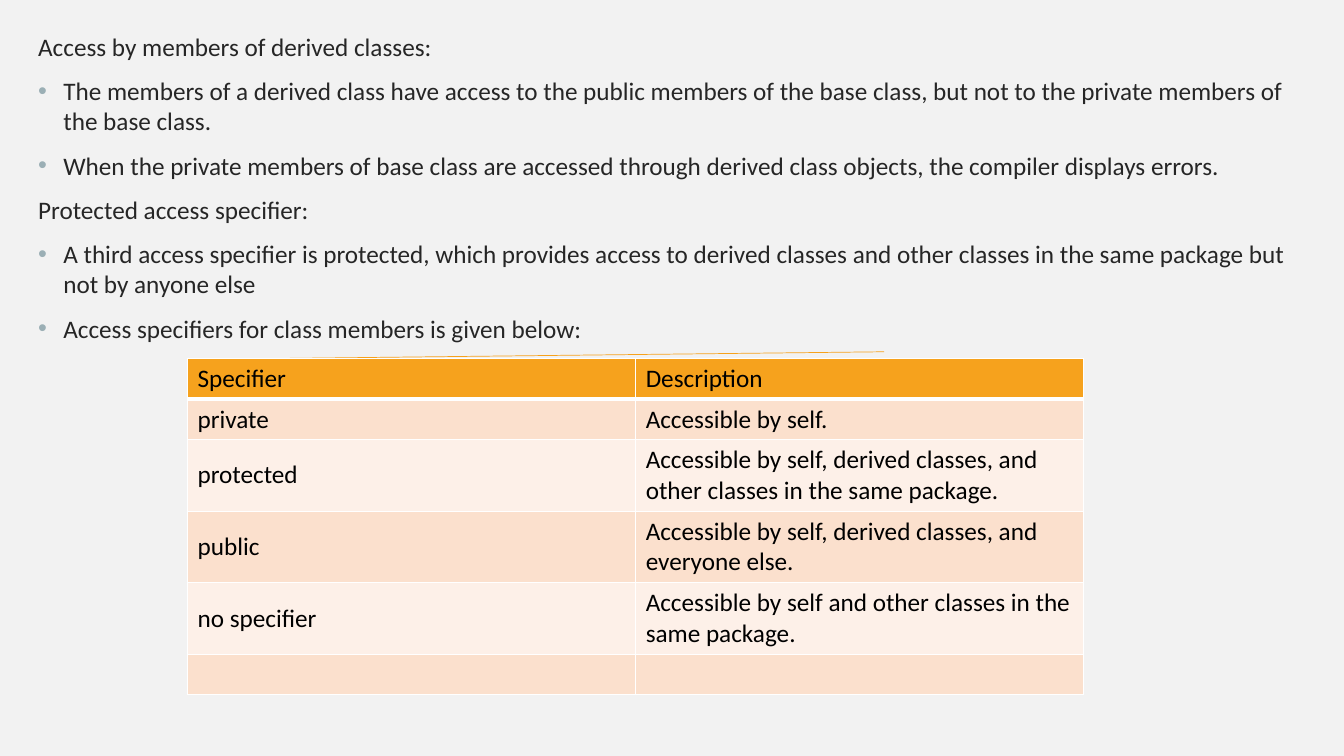
from lxml.etree import SubElement
from pptx import Presentation
from pptx.dml.color import RGBColor
from pptx.enum.shapes import MSO_CONNECTOR
from pptx.enum.text import MSO_ANCHOR
from pptx.oxml.ns import qn
from pptx.util import Inches, Pt

COLORS = {
    "background": "F2F2F2",
    "body": "262626",
    "bullet": "9BAFB5",
    "accent": "F6A21D",
    "band_dark": "FBE0CD",
    "band_light": "FDF0E8",
    "border": "FFFFFF",
    "cell": "000000",
}

NOTES_ON_ACCESS = [
    ("Access by members of derived classes:", False),
    ("The members of a derived class have access to the public members of the base class, "
     "but not to the private members of the base class.", True),
    ("When the private members of base class are accessed through derived class objects, "
     "the compiler displays errors.", True),
    ("Protected access specifier:", False),
    ("A third access specifier is protected, which provides access to derived classes and "
     "other classes in the same package but not by anyone else", True),
    ("Access specifiers for class members is given below:", True),
]

SPECIFIERS = [
    ("Specifier", "Description"),
    ("private", "Accessible by self."),
    ("protected", "Accessible by self, derived classes, and other classes in the same package."),
    ("public", "Accessible by self, derived classes, and everyone else."),
    ("no specifier", "Accessible by self and other classes in the same package."),
    ("", ""),
]
ROW_HEIGHTS = [0.4, 0.4, 0.71, 0.71, 0.71, 0.4]


def rgb(name):
    return RGBColor.from_string(COLORS[name])


def write(p, text, color="body", size=18, font="Calibri", bold=False):
    r = p.add_run()
    r.text = text
    r.font.name = font
    r.font.size = Pt(size)
    r.font.bold = bold
    r.font.color.rgb = rgb(color)


def add_bullet(p):
    pPr = p._p.get_or_add_pPr()
    pPr.set("marL", str(Inches(0.25)))
    pPr.set("indent", str(Inches(-0.25)))
    color = SubElement(pPr, qn("a:buClr"))
    SubElement(color, qn("a:srgbClr"), val=COLORS["bullet"])
    SubElement(pPr, qn("a:buFont"), typeface="Arial")
    SubElement(pPr, qn("a:buChar"), char="•")


def add_body(s, paragraphs, left, top, width, height):
    tf = s.shapes.add_textbox(Inches(left), Inches(top), Inches(width), Inches(height)).text_frame
    tf.word_wrap = True
    for i, (text, bulleted) in enumerate(paragraphs):
        p = tf.add_paragraph() if i else tf.paragraphs[0]
        p.space_before = Pt(10)
        if bulleted:
            add_bullet(p)
        write(p, text)


def add_line(s, x1, y1, x2, y2):
    line = s.shapes.add_connector(
        MSO_CONNECTOR.STRAIGHT, Inches(x1), Inches(y1), Inches(x2), Inches(y2))
    line.line.color.rgb = rgb("accent")
    line.line.width = Pt(0.5)
    SubElement(line._element.spPr, qn("a:effectLst"))


def add_borders(cell, **widths):
    tcPr = cell._tc.get_or_add_tcPr()
    for side in ("L", "R", "T", "B"):
        ln = SubElement(tcPr, qn(f"a:ln{side}"), w=str(Pt(widths.get(side, 1))))
        fill = SubElement(ln, qn("a:solidFill"))
        SubElement(fill, qn("a:srgbClr"), val=COLORS["border"])


def add_specifier_table(s, left, top, width):
    table = s.shapes.add_table(
        len(SPECIFIERS), 2, Inches(left), Inches(top),
        Inches(width), Inches(sum(ROW_HEIGHTS))).table
    for i, (texts, height) in enumerate(zip(SPECIFIERS, ROW_HEIGHTS)):
        table.rows[i].height = Inches(height)
        band = "accent" if i == 0 else "band_dark" if i % 2 else "band_light"
        for j, text in enumerate(texts):
            cell = table.cell(i, j)
            add_borders(cell, T=3 if i == 1 else 1, B=3 if i == 0 else 1)
            cell.fill.solid()
            cell.fill.fore_color.rgb = rgb(band)
            cell.vertical_anchor = MSO_ANCHOR.MIDDLE if i else MSO_ANCHOR.TOP
            if text:
                write(cell.text_frame.paragraphs[0], text, color="cell")


def main():
    prs = Presentation()
    prs.slide_width, prs.slide_height = Inches(13.33), Inches(7.5)
    s = prs.slides.add_slide(prs.slide_layouts[6])
    s.background.fill.solid()
    s.background.fill.fore_color.rgb = rgb("background")
    add_body(s, NOTES_ON_ACCESS, 0.28, 0.26, 12.78, 6.96)
    add_line(s, 2.45, 3.56, 8.77, 3.49)
    add_specifier_table(s, 1.86, 3.56, 8.89)
    prs.save("out.pptx")


if __name__ == "__main__":
    main()
